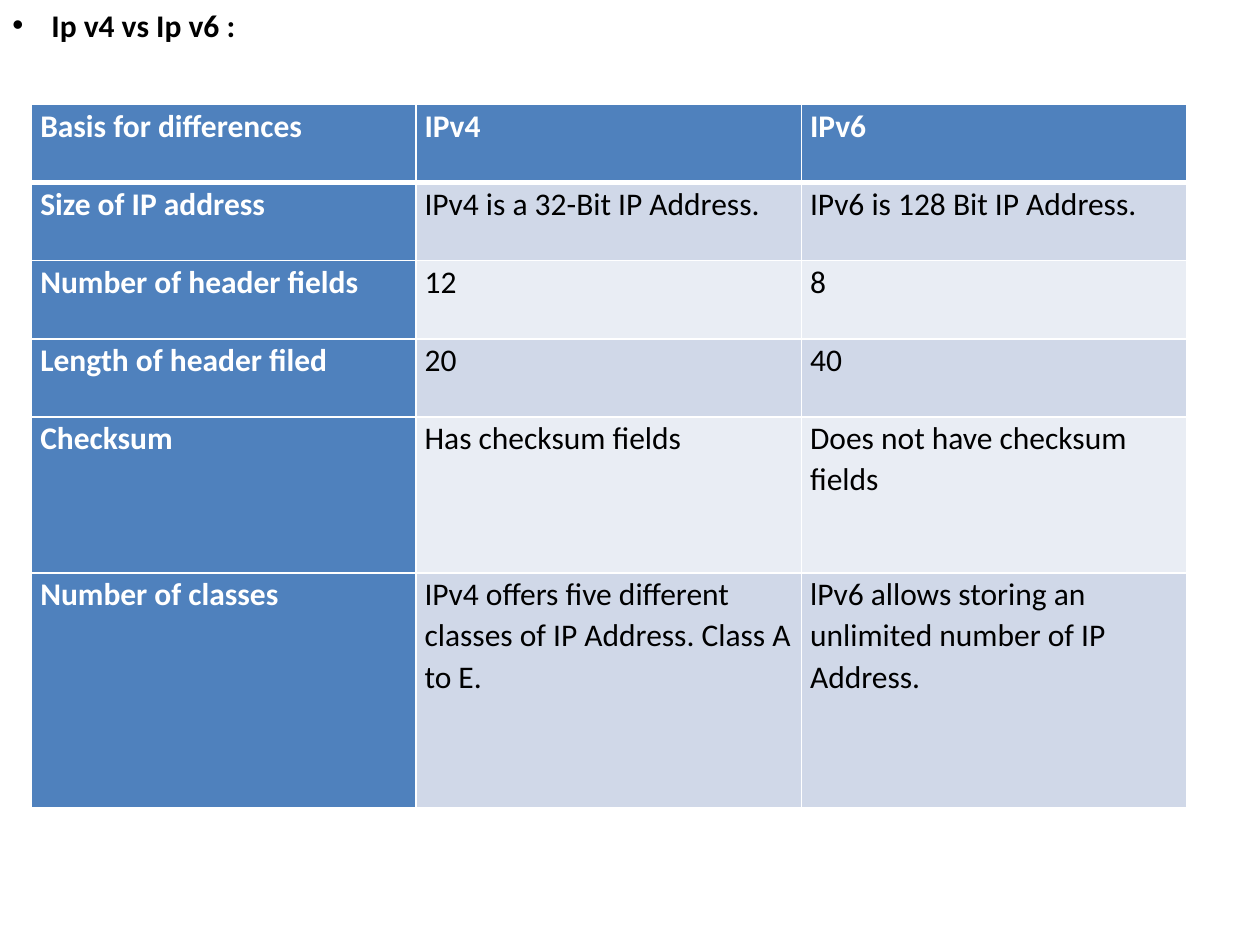
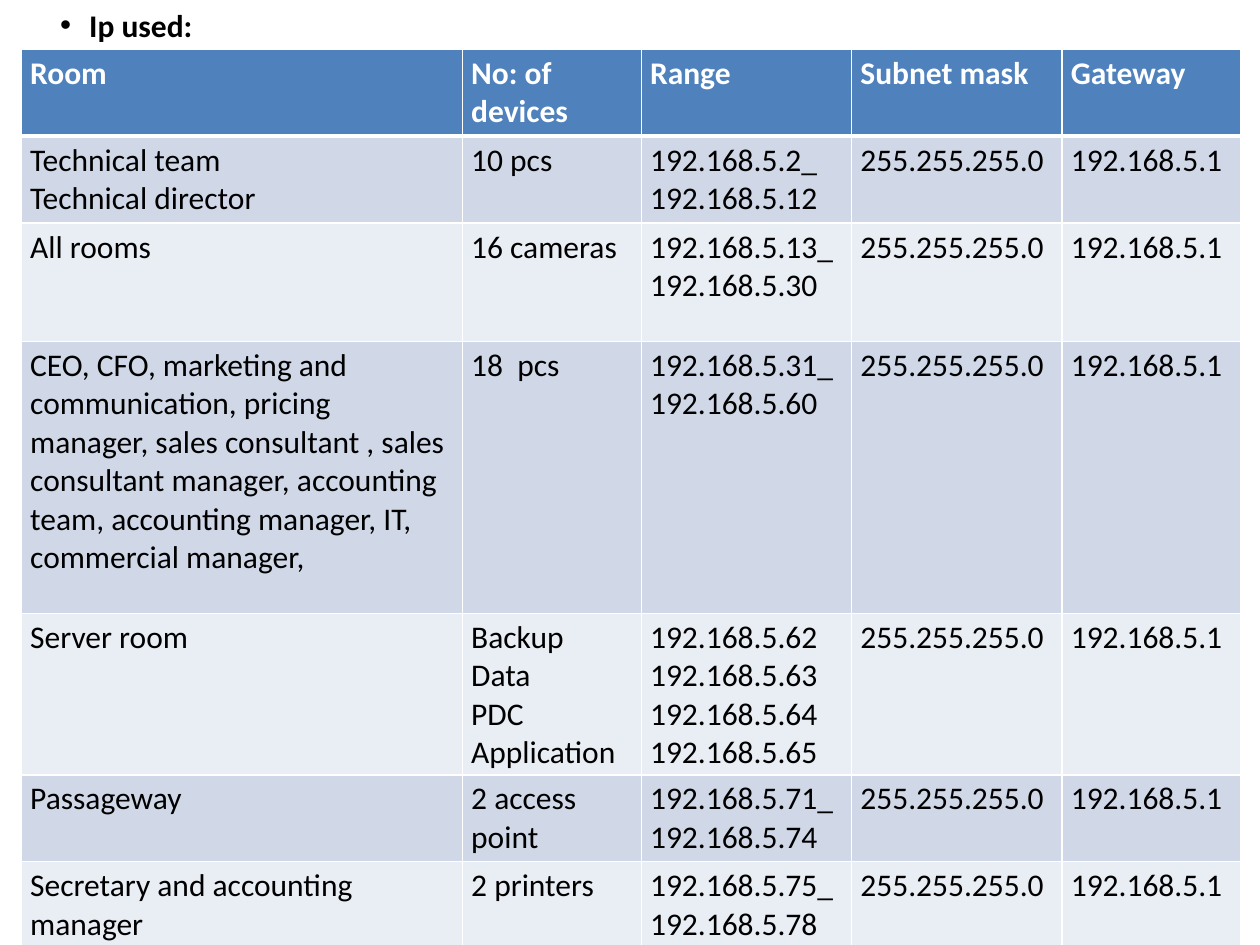
from lxml import etree
from pptx import Presentation
from pptx.dml.color import RGBColor
from pptx.enum import text as t
from pptx.oxml import ns
from pptx.util import Inches, Pt

FONT = "Calibri"
SIZE = 18
BLACK = RGBColor(0x00, 0x00, 0x00)
WHITE = RGBColor(0xFF, 0xFF, 0xFF)
BLUE = RGBColor(0x4F, 0x81, 0xBD)
BANDS = (RGBColor(0xD0, 0xD8, 0xE8), RGBColor(0xE9, 0xED, 0xF4))

MASK, GATEWAY = "255.255.255.0", "192.168.5.1"

VERSIONS = [
    ("Basis for differences", "IPv4", "IPv6"),
    ("Size of IP address", "IPv4 is a 32-Bit IP Address.", "IPv6 is 128 Bit IP Address."),
    ("Number of header fields", "12", "8"),
    ("Length of header filed", "20", "40"),
    ("Checksum", "Has checksum fields", "Does not have checksum fields"),
    ("Number of classes",
     "IPv4 offers five different classes of IP Address. Class A to E.",
     "lPv6 allows storing an unlimited number of IP Address."),
]

# Room, devices and address range; every room shares the mask and gateway
ROOMS = [
    ("Technical team\nTechnical director", "10 pcs", "192.168.5.2_ 192.168.5.12"),
    ("All rooms", "16 cameras", "192.168.5.13_\n192.168.5.30"),
    ("CEO, CFO, marketing and communication, pricing manager, sales consultant , "
     "sales consultant manager, accounting team, accounting manager, IT, "
     "commercial manager,", "18  pcs", "192.168.5.31_\n192.168.5.60"),
    ("Server room", "Backup\nData\nPDC\nApplication",
     "192.168.5.62\n192.168.5.63\n192.168.5.64\n192.168.5.65"),
    ("Passageway", "2 access point", "192.168.5.71_\n192.168.5.74"),
    ("Secretary and accounting manager", "2 printers", "192.168.5.75_\n192.168.5.78"),
]
ADDRESSES = [("Room", "No: of devices", "Range", "Subnet mask", "Gateway")]
ADDRESSES += [room + (MASK, GATEWAY) for room in ROOMS]


def write(tf, text, color=BLACK, bold=False, spacing=None, bullet=None):
    """Fill a text frame, one paragraph a line; bullet is (margin, indent) in inches."""
    for i, line in enumerate(text.split("\n")):
        p = tf.paragraphs[0] if i == 0 else tf.add_paragraph()
        if bullet:
            margin, indent = bullet
            pPr = p._p.get_or_add_pPr()
            pPr.set("marL", str(Inches(margin)))
            pPr.set("indent", str(Inches(indent)))
            etree.SubElement(pPr, ns.qn("a:buFont"), typeface="Arial")
            etree.SubElement(pPr, ns.qn("a:buChar"), char="•")
        if spacing:
            p.line_spacing = spacing
        r = p.add_run()
        r.text = line
        r.font.name, r.font.size = FONT, Pt(SIZE)
        r.font.bold, r.font.color.rgb = bold, color


def add_heading(s, text, width, bullet):
    sp = s.shapes.add_textbox(0, 0, Inches(width), Inches(0.4))
    tf = sp.text_frame
    tf.word_wrap = True
    tf.auto_size = t.MSO_AUTO_SIZE.SHAPE_TO_FIT_TEXT
    write(tf, text, bold=True, bullet=bullet)


def set_borders(cell, **widths):
    """Draw white cell borders; side names map to widths in points."""
    tcPr = cell._tc.get_or_add_tcPr()
    for side in "LRTB":
        ln = etree.SubElement(tcPr, ns.qn("a:ln" + side), w=str(Pt(widths.get(side, 1))))
        fill = etree.SubElement(ln, ns.qn("a:solidFill"))
        etree.SubElement(fill, ns.qn("a:srgbClr"), val=str(WHITE))


def add_table(s, rows, left, top, widths, heights, pad=0.04, spacing=None,
              header_column=False):
    frame = s.shapes.add_table(len(rows), len(widths), Inches(left), Inches(top),
                               Inches(sum(widths)), Inches(sum(heights)))
    table = frame.table
    table.horz_banding = False
    for column, width in zip(table.columns, widths):
        column.width = Inches(width)
    for i, (row, height) in enumerate(zip(rows, heights)):
        table.rows[i].height = Inches(height)
        for j, text in enumerate(row):
            cell = table.cell(i, j)
            is_header = i == 0 or (header_column and j == 0)
            # Thick rule under the header row
            set_borders(cell, T=3 if i == 1 else 1, B=3 if i == 0 else 1)
            cell.fill.solid()
            cell.fill.fore_color.rgb = BLUE if is_header else BANDS[(i - 1) % 2]
            cell.margin_left = cell.margin_right = Inches(0.07)
            cell.margin_top = cell.margin_bottom = Inches(pad)
            write(cell.text_frame, text, color=WHITE if is_header else BLACK,
                  bold=is_header, spacing=spacing)


def main():
    prs = Presentation()
    prs.slide_width, prs.slide_height = Inches(10), Inches(7.5)
    blank = prs.slide_layouts[6]

    # Comparison of protocol versions
    s = prs.slides.add_slide(blank)
    add_heading(s, "Ip v4 vs Ip v6 :", 3.11, bullet=(0.31, -0.31))
    add_table(s, VERSIONS, 0.25, 0.83, [3.05, 3.06, 3.06],
              [0.62] * 4 + [1.24, 1.86], pad=0, spacing=1.07, header_column=True)

    # Address plan by room
    s = prs.slides.add_slide(blank)
    add_table(s, ADDRESSES, 0.17, 0.39, [3.5, 1.42, 1.67, 1.67, 1.42],
              [0.69, 0.69, 0.94, 2.16, 1.26, 0.69, 0.69])
    add_heading(s, "Ip used:", 10, bullet=(0.61, -0.23))

    prs.save("out.pptx")


if __name__ == "__main__":
    main()
